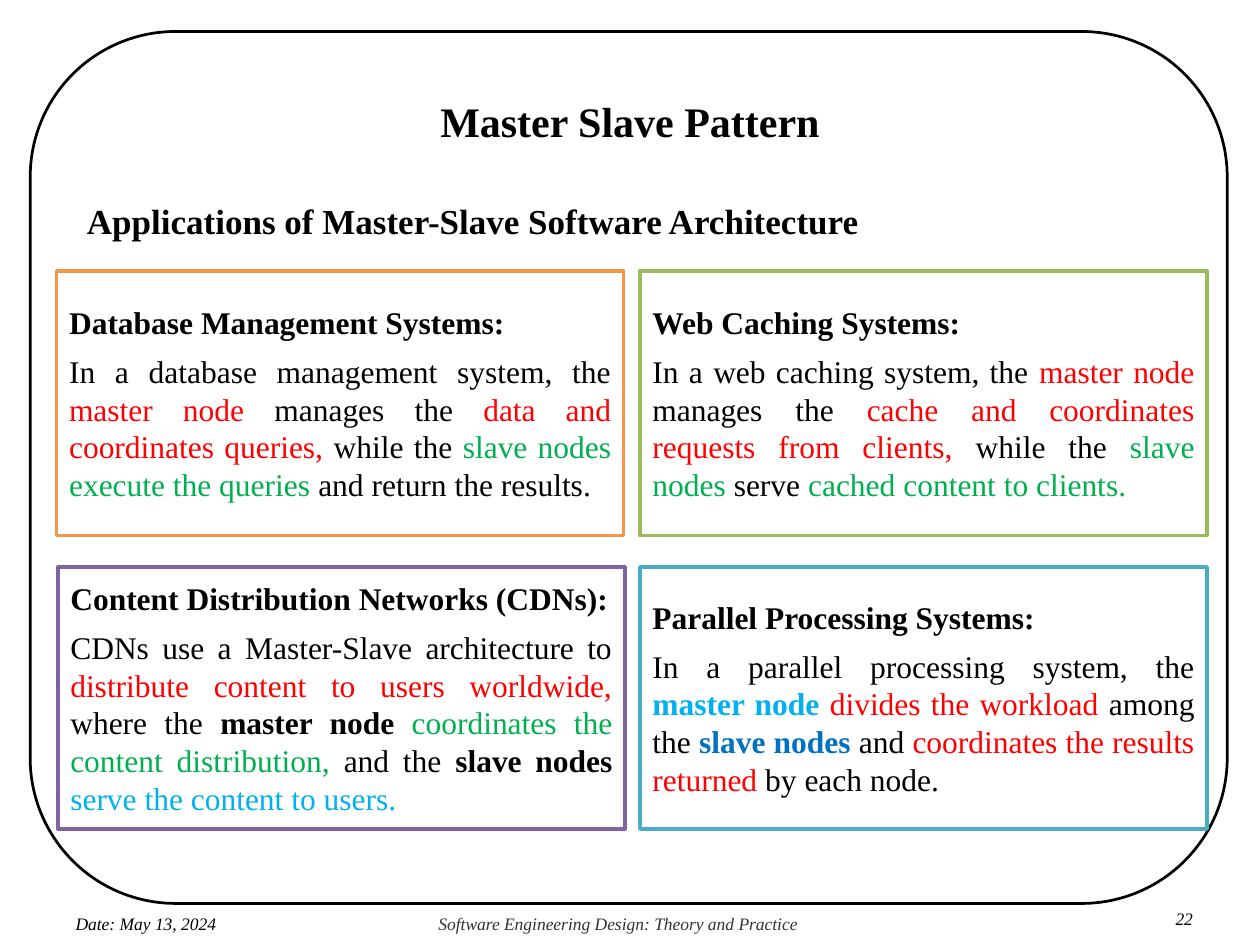
import pptx
import pptx.dml.color
import pptx.enum.shapes
import pptx.enum.text
import pptx.util

RGB = pptx.dml.color.RGBColor
Pt = pptx.util.Pt
ALIGN = pptx.enum.text.PP_ALIGN
SHAPE = pptx.enum.shapes.MSO_SHAPE

BLACK = RGB(0x00, 0x00, 0x00)
WHITE = RGB(0xFF, 0xFF, 0xFF)
GRAY = RGB(0x33, 0x33, 0x33)
RED = RGB(0xFF, 0x00, 0x00)
GREEN = RGB(0x00, 0xB0, 0x50)
SKY = RGB(0x00, 0xB0, 0xF0)
BLUE = RGB(0x00, 0x70, 0xC0)
ORANGE = RGB(0xF7, 0x96, 0x46)
OLIVE = RGB(0x9B, 0xBB, 0x59)
PURPLE = RGB(0x80, 0x64, 0xA2)
TEAL = RGB(0x4B, 0xAC, 0xC6)

COLS, ROWS = 100, 75


def write(para, text, size=18, color=BLACK, bold=False, italic=False):
    run = para.add_run()
    run.text = text
    font = run.font
    font.name = "Times New Roman"
    font.size = Pt(size)
    font.color.rgb = color
    font.bold = bold
    font.italic = italic


class Deck:
    def __init__(self):
        self.show = pptx.Presentation()
        self.show.slide_width = pptx.util.Inches(10)
        self.show.slide_height = pptx.util.Inches(7.5)
        self.slide = self.show.slides.add_slide(self.show.slide_layouts[6])

    def place(self, col, row, wide, high):
        across = self.show.slide_width / COLS
        down = self.show.slide_height / ROWS
        return [round(n) for n in (col * across, row * down, wide * across, high * down)]

    def shape(self, kind, spot, color, width):
        shape = self.slide.shapes.add_shape(kind, *self.place(*spot))
        shape.shadow.inherit = False
        shape.line.color.rgb = color
        shape.line.width = Pt(width)
        return shape

    def frame(self, *spot):
        self.shape(SHAPE.ROUNDED_RECTANGLE, spot, BLACK, 1.56).fill.background()

    def label(self, spot, text, align=ALIGN.LEFT, lead=None, **style):
        box = self.slide.shapes.add_textbox(*self.place(*spot)).text_frame
        box.word_wrap = True
        box.margin_left = box.margin_right = box.margin_top = box.margin_bottom = 0
        para = box.paragraphs[0]
        para.alignment = align
        if lead:
            para.line_spacing = Pt(lead)
        write(para, text, **style)

    def card(self, spot, color, head, parts):
        shape = self.shape(SHAPE.RECTANGLE, spot, color, 2)
        shape.fill.solid()
        shape.fill.fore_color.rgb = WHITE
        box = shape.text_frame
        box.word_wrap = True
        box.vertical_anchor = pptx.enum.text.MSO_ANCHOR.MIDDLE
        top, body = box.paragraphs[0], box.add_paragraph()
        for para in (top, body):
            para.alignment = ALIGN.JUSTIFY
            para.space_after = Pt(6)
        write(top, head, bold=True)
        for text, *style in parts:
            write(body, text, 18, *style)


def main():
    deck = Deck()
    deck.frame(2.4, 2.5, 95, 69.2)
    deck.label((15.6, 7.6, 68.8, 4), "Master Slave Pattern",
               align=ALIGN.CENTER, size=24, bold=True)
    deck.label((6.9, 15.8, 85.3, 3.3), "Applications of Master-Slave Software Architecture",
               align=ALIGN.JUSTIFY, size=20, bold=True)

    left, right, upper, lower = 4.5, 50.8, 21.5, 45
    wide, tall, short = 45, 21, 20.8
    deck.card((left, upper, wide, tall), ORANGE, "Database Management Systems:", [
        ("In a database management system, the ",),
        ("master node ", RED),
        ("manages the ",),
        ("data and coordinates queries,", RED),
        (" while the ",),
        ("slave nodes execute the queries ", GREEN),
        ("and return the results.",),
    ])
    deck.card((right, upper, wide, tall), OLIVE, "Web Caching Systems:", [
        ("In a web caching system, the ",),
        ("master node", RED),
        (" manages the ",),
        ("cache and coordinates requests from clients, ", RED),
        ("while the ",),
        ("slave nodes ", GREEN),
        ("serve ",),
        ("cached content to clients.", GREEN),
    ])
    deck.card((left + 0.1, lower, wide, short), PURPLE,
              "Content Distribution Networks (CDNs):", [
        ("CDNs use a Master-Slave architecture to ",),
        ("distribute content to users worldwide, ", RED),
        ("where the ",),
        ("master node ", BLACK, True),
        ("coordinates the content distribution, ", GREEN),
        ("and the ",),
        ("slave nodes ", BLACK, True),
        ("serve the content to users.", SKY),
    ])
    deck.card((right, lower, wide, short), TEAL, "Parallel Processing Systems:", [
        ("In a parallel processing system, the ",),
        ("master node ", SKY, True),
        ("divides the workload", RED),
        (" among the ",),
        ("slave nodes ", BLUE, True),
        ("and ",),
        ("coordinates the results returned ", RED),
        ("by each node.",),
    ])

    for spot, text, color in [
        ((6, 72.5, 15.8, 1.6), "Date: May 13, 2024", BLACK),
        ((34.8, 72.5, 30, 1.6), "Software Engineering Design: Theory and Practice", GRAY),
        ((93.3, 72.1, 2, 1.6), "22", BLACK),
    ]:
        deck.label(spot, text, lead=11.8, size=10, color=color, italic=True)
    deck.show.save("out.pptx")


if __name__ == "__main__":
    main()
